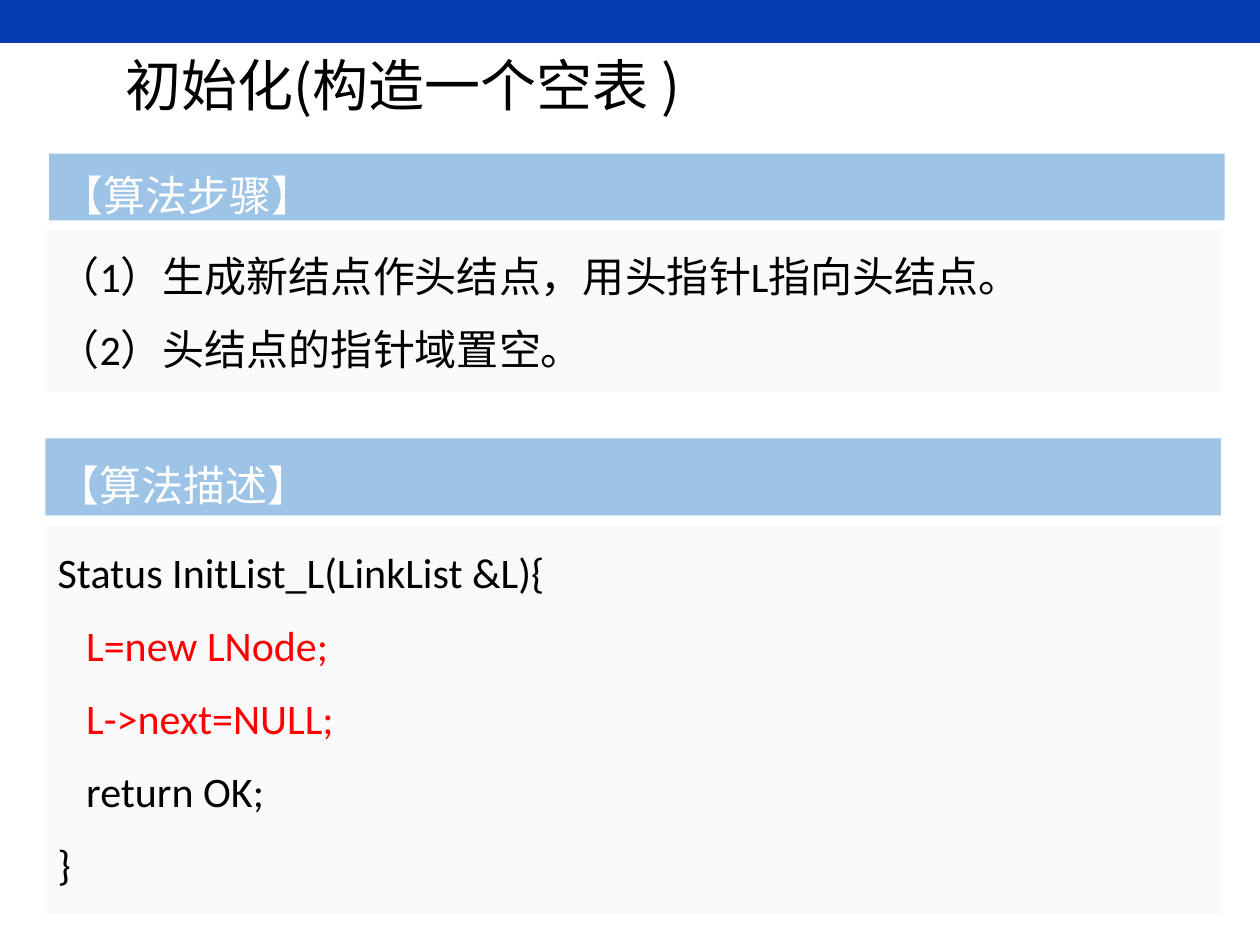
from dataclasses import dataclass

from pptx import Presentation
from pptx.dml.color import RGBColor
from pptx.enum.shapes import MSO_SHAPE
from pptx.enum.text import MSO_ANCHOR, PP_ALIGN
from pptx.util import Inches, Pt


@dataclass(frozen=True)
class Theme:
    banner: RGBColor = RGBColor(0x05, 0x3C, 0xAF)
    heading: RGBColor = RGBColor(0x9D, 0xC3, 0xE6)
    panel: RGBColor = RGBColor(0xFA, 0xFA, 0xFA)
    text: RGBColor = RGBColor(0, 0, 0)
    light: RGBColor = RGBColor(0xFF, 0xFF, 0xFF)
    accent: RGBColor = RGBColor(0xFF, 0, 0)
    body_font: str = "Calibri"
    title_font: str = "Noto Sans CJK SC"
    body_size: Pt = Pt(24)
    title_size: Pt = Pt(32)
    line_spacing: float = 1.3
    paragraph_gap: Pt = Pt(4.2)


THEME = Theme()
LEFT, WIDTH = 0.36, 9.33

STEPS = [
    "（1）生成新结点作头结点，用头指针L指向头结点。",
    "（2）头结点的指针域置空。",
]
CODE = [
    "Status InitList_L(LinkList &L){",
    "   L=new LNode;",
    "   L->next=NULL;",
    "   return OK;",
    "}",
]
KEY_LINES = CODE[1:3]


def style(p, font, size, color):
    p.font.name = font
    p.font.size = size
    p.font.color.rgb = color


def add_bar(s, left, top, width, height, fill):
    sp = s.shapes.add_shape(
        MSO_SHAPE.RECTANGLE, Inches(left), Inches(top), Inches(width), Inches(height)
    )
    sp.shadow.inherit = False
    sp.fill.solid()
    sp.fill.fore_color.rgb = fill
    sp.line.fill.background()
    return sp


def add_text_bar(s, left, top, height, fill, lines, color, anchor=MSO_ANCHOR.TOP):
    tf = add_bar(s, left, top, WIDTH, height, fill).text_frame
    tf.word_wrap = True
    tf.vertical_anchor = anchor
    for i, line in enumerate(lines):
        p = tf.add_paragraph() if i else tf.paragraphs[0]
        p.text = line
        p.alignment = PP_ALIGN.LEFT
        p.line_spacing = THEME.line_spacing
        if i:
            p.space_before = THEME.paragraph_gap
        style(
            p,
            THEME.body_font,
            THEME.body_size,
            THEME.accent if line in KEY_LINES else color,
        )


def add_title(s, text):
    box = s.shapes.add_textbox(Inches(0.9), Inches(0.29), Inches(7.84), Inches(0.75))
    tf = box.text_frame
    tf.word_wrap = True
    tf.vertical_anchor = MSO_ANCHOR.MIDDLE
    p = tf.paragraphs[0]
    p.text = text
    style(p, THEME.title_font, THEME.title_size, THEME.text)


def main():
    prs = Presentation()
    prs.slide_width, prs.slide_height = Inches(10), Inches(7.5)
    s = prs.slides.add_slide(prs.slide_layouts[6])
    add_bar(s, 0, 0, 10, 0.34, THEME.banner)
    add_text_bar(
        s, 0.39, 1.22, 0.53, THEME.heading, ["【算法步骤】"], THEME.light, MSO_ANCHOR.MIDDLE
    )
    add_text_bar(s, LEFT, 3.48, 0.61, THEME.heading, ["【算法描述】"], THEME.light)
    add_title(s, "初始化(构造一个空表 )")
    add_text_bar(s, LEFT, 4.17, 3.09, THEME.panel, CODE, THEME.text)
    add_text_bar(s, LEFT, 1.82, 1.29, THEME.panel, STEPS, THEME.text)
    prs.save("out.pptx")


if __name__ == "__main__":
    main()
